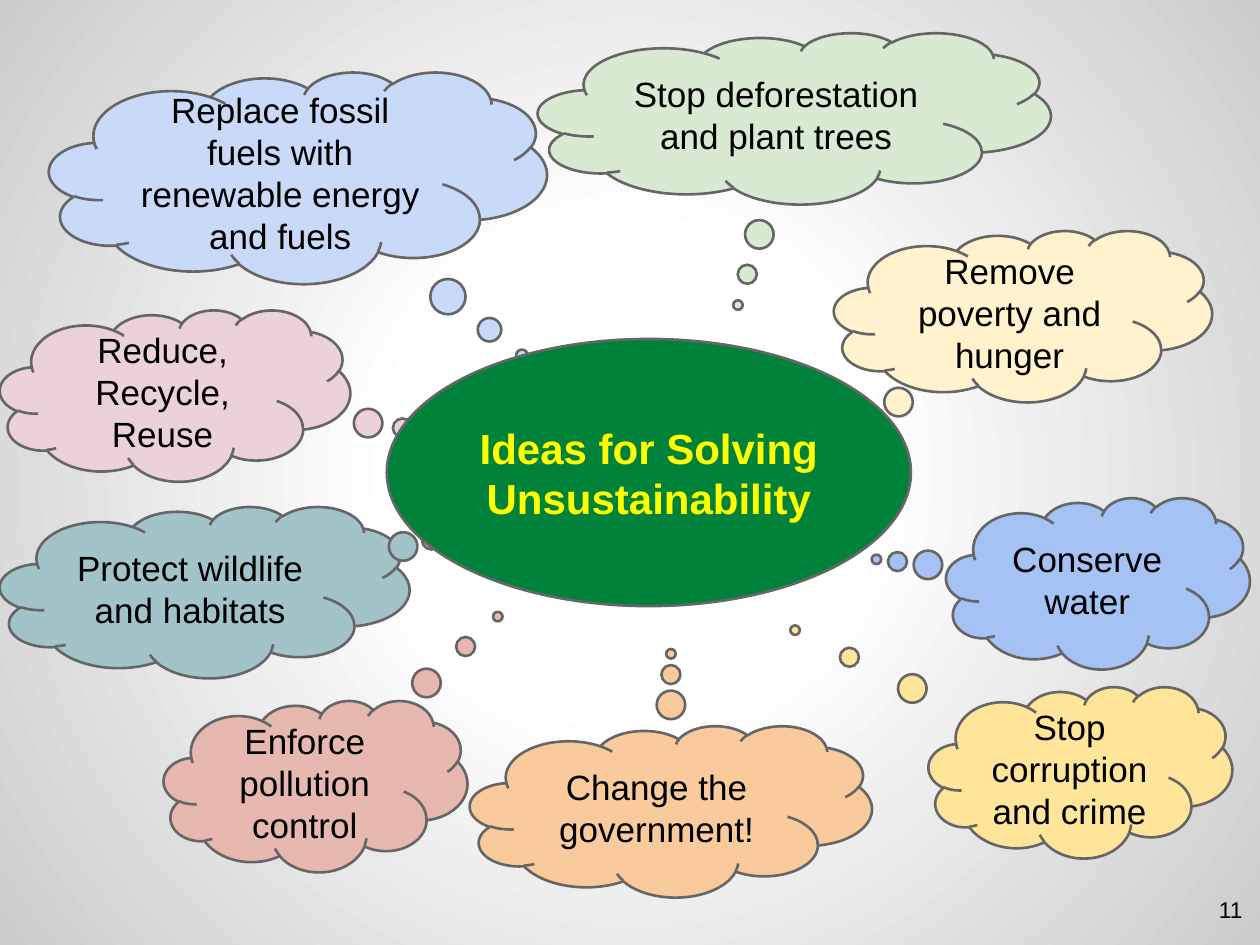
from pptx import Presentation, util as u
from pptx.dml.color import RGBColor
from pptx.enum import shapes, text
from pptx.oxml import parse_xml
from pptx.oxml.ns import nsdecls

COLUMNS, ROWS = 100, 75
CELL = u.Inches(0.1)
CLOUD_ROWS = 13.6

BLACK = RGBColor(0x00, 0x00, 0x00)
GRAY = RGBColor(0x66, 0x66, 0x66)
GREEN = RGBColor(0x00, 0x82, 0x3B)
YELLOW = RGBColor(0xFF, 0xFF, 0x00)
PALE_GREEN = RGBColor(0xD9, 0xEA, 0xD3)
PINK = RGBColor(0xEA, 0xD1, 0xDC)
CREAM = RGBColor(0xFF, 0xF2, 0xCC)
GOLD = RGBColor(0xFF, 0xE5, 0x99)
PALE_BLUE = RGBColor(0xC9, 0xDA, 0xF8)
ROSE = RGBColor(0xE6, 0xB8, 0xAF)
BLUE = RGBColor(0xA4, 0xC2, 0xF4)
TEAL = RGBColor(0xA2, 0xC4, 0xC9)
ORANGE = RGBColor(0xF9, 0xCB, 0x9C)

IDEAS = [
    ("Stop deforestation and plant trees", PALE_GREEN, (42.7, 2.6, 40.7, CLOUD_ROWS), (-0.11, 1.09)),
    ("Reduce, Recycle, Reuse", PINK, (0, 24.6, 27.8, CLOUD_ROWS), (0.72, 0.21)),
    ("Remove poverty and hunger", CREAM, (66.2, 18.3, 30, CLOUD_ROWS), (-0.46, 0.7)),
    ("Stop corruption and crime", GOLD, (73.7, 54.5, 24.1, CLOUD_ROWS), (-0.94, -0.83)),
    ("Replace fossil fuels with renewable energy and fuels", PALE_BLUE, (3.9, 5.7, 39.5, 16.8), (0.45, 0.84)),
    ("Enforce pollution control", ROSE, (13, 55.6, 24.1, CLOUD_ROWS), (0.6, -0.99)),
    ("Conserve water", BLUE, (75.1, 39.5, 24.1, CLOUD_ROWS), (-0.73, -0.14)),
    ("Protect wildlife and habitats", TEAL, (0, 40.2, 32.5, CLOUD_ROWS), (0.6, -0.33)),
    ("Change the government!", ORANGE, (37.3, 57.6, 31.9, CLOUD_ROWS), (0, -0.92)),
]


def grid(box):
    """Turn a box in columns and rows into slide lengths."""
    return [u.Emu(round(cells * CELL)) for cells in box]


def write(shape, words, size=20, color=BLACK, bold=False, align=text.PP_ALIGN.CENTER):
    """Put formatted words in the vertical middle of a shape."""
    frame = shape.text_frame
    frame.word_wrap = True
    frame.vertical_anchor = text.MSO_ANCHOR.MIDDLE
    frame.margin_left = frame.margin_right = CELL
    frame.margin_top = frame.margin_bottom = CELL
    para = frame.paragraphs[0]
    para.alignment = align
    span = para.add_run()
    span.text = words
    span.font.name = "Arial"
    span.font.size = u.Pt(size)
    span.font.bold = bold
    span.font.color.rgb = color


def add_bubble(page, kind, box, fill):
    """Add an outlined shape of one colour."""
    bubble = page.shapes.add_shape(kind, *grid(box))
    bubble.shadow.inherit = False
    bubble.fill.solid()
    bubble.fill.fore_color.rgb = fill
    bubble.line.color.rgb = GRAY
    bubble.line.width = u.Pt(1.5)
    return bubble


def add_idea(page, words, fill, box, tail):
    """Add a thought cloud whose tail is given as shares of its box."""
    cloud = add_bubble(page, shapes.MSO_SHAPE.CLOUD_CALLOUT, box, fill)
    cloud.adjustments[0], cloud.adjustments[1] = tail
    write(cloud, words)


def add_topic(page, words, box):
    """Add the central ellipse with the topic."""
    topic = add_bubble(page, shapes.MSO_SHAPE.OVAL, box, GREEN)
    write(topic, words, size=24, color=YELLOW, bold=True)


def add_page_number(page, number, box):
    """Add the page number in the corner."""
    label = page.shapes.add_textbox(*grid(box))
    write(label, number, size=13, align=text.PP_ALIGN.RIGHT)


def add_backdrop(page):
    """Fill the background with a radial gradient, white in the centre."""
    stops = "".join(
        f'<a:gs pos="{share * 1000}"><a:srgbClr val="{color}"/></a:gs>'
        for share, color in [(0, "FFFFFF"), (30, "FFFFFF"), (100, "CCCCCC")]
    )
    backdrop = parse_xml(
        f'<p:bg {nsdecls("p", "a")}><p:bgPr><a:gradFill><a:gsLst>{stops}</a:gsLst>'
        '<a:path path="circle"><a:fillToRect l="50000" t="50000" r="50000" b="50000"/></a:path>'
        "</a:gradFill><a:effectLst/></p:bgPr></p:bg>"
    )
    page.element.cSld.insert(0, backdrop)


def main():
    """Build and save the deck."""
    deck = Presentation()
    deck.slide_width, deck.slide_height = grid((COLUMNS, ROWS))
    page = deck.slides.add_slide(deck.slide_layouts[6])
    add_backdrop(page)
    for words, fill, box, tail in IDEAS:
        add_idea(page, words, fill, box, tail)
    add_topic(page, "Ideas for Solving Unsustainability", (30.7, 26.9, 41.6, 21.2))
    add_page_number(page, "11", (93.6, 69.3, 6, 5.7))
    deck.save("out.pptx")


if __name__ == "__main__":
    main()
